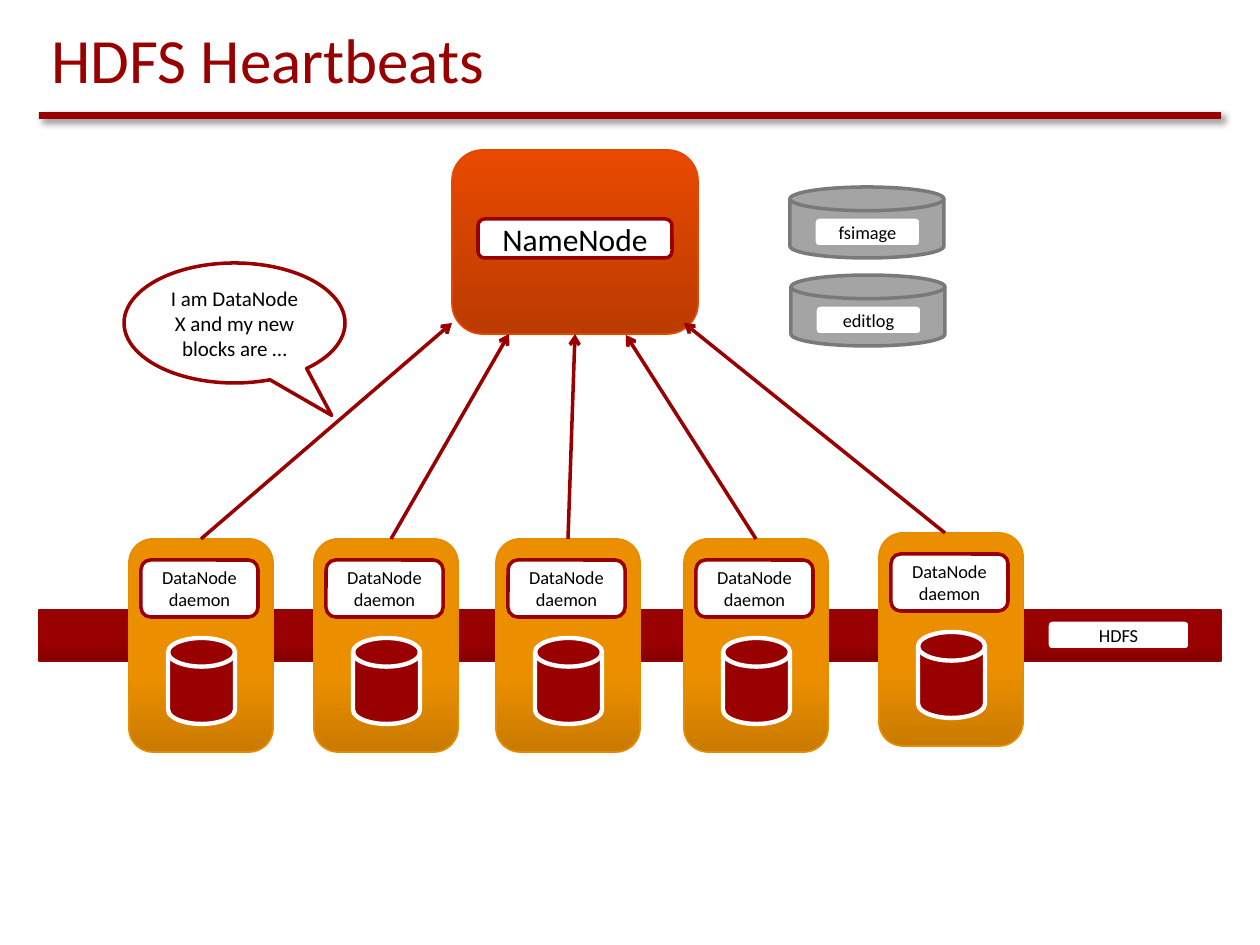
from lxml.etree import SubElement
from pptx import Presentation
from pptx.dml.color import RGBColor
from pptx.enum.shapes import MSO_CONNECTOR, MSO_SHAPE
from pptx.enum.text import MSO_ANCHOR, PP_ALIGN
from pptx.oxml.ns import qn
from pptx.util import Emu, Inches, Pt

RED = RGBColor(0x99, 0x00, 0x00)
BAND_DARK = RGBColor(0x83, 0x00, 0x00)
BAND_EDGE = RGBColor(0x96, 0x00, 0x00)
ORANGE = RGBColor(0xE9, 0x4A, 0x00)
ORANGE_DARK = RGBColor(0xBB, 0x3B, 0x00)
ORANGE_EDGE = RGBColor(0xE4, 0x48, 0x00)
AMBER = RGBColor(0xEB, 0x8F, 0x00)
AMBER_DARK = RGBColor(0xC9, 0x7A, 0x00)
AMBER_EDGE = RGBColor(0xE6, 0x8C, 0x00)
GRAY = RGBColor(0xA4, 0xA4, 0xA4)
GRAY_EDGE = RGBColor(0x79, 0x79, 0x79)
WHITE = RGBColor(0xFF, 0xFF, 0xFF)
BLACK = RGBColor(0x00, 0x00, 0x00)

ROUNDED = MSO_SHAPE.ROUNDED_RECTANGLE
DISK = MSO_SHAPE.FLOWCHART_MAGNETIC_DISK


def px(*lengths):
    return [Emu(round(length * 914400 / 126)) for length in lengths]


class Diagram:
    font = "Calibri"

    def __init__(self, slide):
        self.slide = slide

    def title(self, text, box):
        heading = self.slide.shapes.title
        heading.left, heading.top, heading.width, heading.height = px(*box)
        heading.text_frame.vertical_anchor = MSO_ANCHOR.BOTTOM
        self.set_text(heading, [text], 36, RED, PP_ALIGN.LEFT)

    def set_text(self, shape, lines, size, color=BLACK, align=PP_ALIGN.CENTER):
        paragraph = shape.text_frame.paragraphs[0]
        for index, line in enumerate(lines):
            if index:
                paragraph.add_line_break()
            paragraph.add_run().text = line
        paragraph.alignment = align
        paragraph.font.name = self.font
        paragraph.font.size = Pt(size)
        paragraph.font.color.rgb = color

    def shape(self, kind, box, fill, edge=None, weight=2, parent=None):
        shape = (parent or self.slide).shapes.add_shape(kind, *px(*box))
        shape.shadow.inherit = False
        shape.fill.solid()
        shape.fill.fore_color.rgb = fill
        if edge is None:
            shape.line.fill.background()
        else:
            shape.line.color.rgb = edge
            shape.line.width = Pt(weight)
        return shape

    def shaded(self, kind, box, dark, light, edge, blend=1, parent=None):
        shape = self.shape(kind, box, light, edge, 1, parent)
        shape.fill.gradient()
        shape.fill.gradient_angle = 90
        for stop, color, position in zip(shape.fill.gradient_stops, (dark, light), (0, blend)):
            stop.color.rgb = color
            stop.position = position
        return shape

    def label(self, box, lines, size=10.5, edge=RED, kind=ROUNDED, parent=None):
        label = self.shape(kind, box, WHITE, edge, parent=parent)
        label.text_frame.word_wrap = True
        label.text_frame.vertical_anchor = MSO_ANCHOR.MIDDLE
        self.set_text(label, lines, size)
        return label

    def rule(self, box):
        rule = self.shape(MSO_SHAPE.RECTANGLE, box, RED)
        effects = rule._element.spPr.find(qn("a:effectLst"))
        shadow = SubElement(effects, qn("a:outerShdw"), blurRad=str(Pt(4)), dist=str(Pt(3)),
                            dir="2700000", algn="tl", rotWithShape="0")
        color = SubElement(shadow, qn("a:srgbClr"), val="000000")
        SubElement(color, qn("a:alpha"), val="43000")

    def data_node(self, left, top):
        group = self.slide.shapes.add_group_shape()
        card = self.shaded(ROUNDED, (left, top, 144, 213), AMBER_DARK, AMBER,
                           AMBER_EDGE, 0.35, group)
        self.shape(DISK, (left + 39, top + 99, 67, 86), RED, WHITE, 2.5, group)
        self.label((left + 12, top + 21, 117, 57), ["DataNode", "daemon"], parent=group)
        return card

    def store(self, left, top, name):
        self.shape(DISK, (left, top, 154, 71), GRAY, GRAY_EDGE)
        self.label((left + 24, top + 30, 107, 30), [name], edge=GRAY)

    def arrow(self, start, end):
        arrow = self.slide.shapes.add_connector(MSO_CONNECTOR.STRAIGHT, *px(*start, *end))
        arrow.line.color.rgb = RED
        arrow.line.width = Pt(2)
        properties = arrow._element.spPr
        SubElement(properties.find(qn("a:ln")), qn("a:tailEnd"), type="arrow")
        SubElement(properties, qn("a:effectLst"))
        return arrow


def main():
    presentation = Presentation()
    presentation.slide_width, presentation.slide_height = Inches(10), Inches(7.5)
    diagram = Diagram(presentation.slides.add_slide(presentation.slide_layouts[5]))

    diagram.rule((39, 112, 1182, 7))
    diagram.shaded(MSO_SHAPE.RECTANGLE, (39, 610, 1182, 51), BAND_DARK, RED, BAND_EDGE, 0.35)
    diagram.title("HDFS Heartbeats", (39, 18, 1182, 84))

    name_node = diagram.shaded(ROUNDED, (452, 150, 246, 184), ORANGE_DARK, ORANGE, ORANGE_EDGE)
    diagram.label((478, 219, 194, 39), ["NameNode"], 18)

    heartbeats = [
        (129, 539, 201, (452, 323)),
        (314, 539, 391, (509, 334)),
        (496, 539, 568, (575, 334)),
        (684, 539, 756, (626, 335)),
        (879, 533, 945, (684, 323)),
    ]
    data_nodes = [diagram.data_node(left, top) for left, top, _, _ in heartbeats]

    diagram.label((1047, 620, 143, 30), ["HDFS"])
    diagram.store(790, 187, "fsimage")
    diagram.store(791, 275, "editlog")

    for data_node, (left, top, start, end) in zip(data_nodes, heartbeats):
        heartbeat = diagram.arrow((start, top), end)
        if start == left + 72:
            heartbeat.begin_connect(data_node, 0)
        if end == (575, 334):
            heartbeat.end_connect(name_node, 2)

    message = diagram.label((124, 263, 221, 120), ["I am DataNode X and my new blocks are …"],
                            12, kind=MSO_SHAPE.OVAL_CALLOUT)
    message.adjustments[0] = 0.44
    message.adjustments[1] = 0.77

    presentation.save("out.pptx")


if __name__ == "__main__":
    main()
